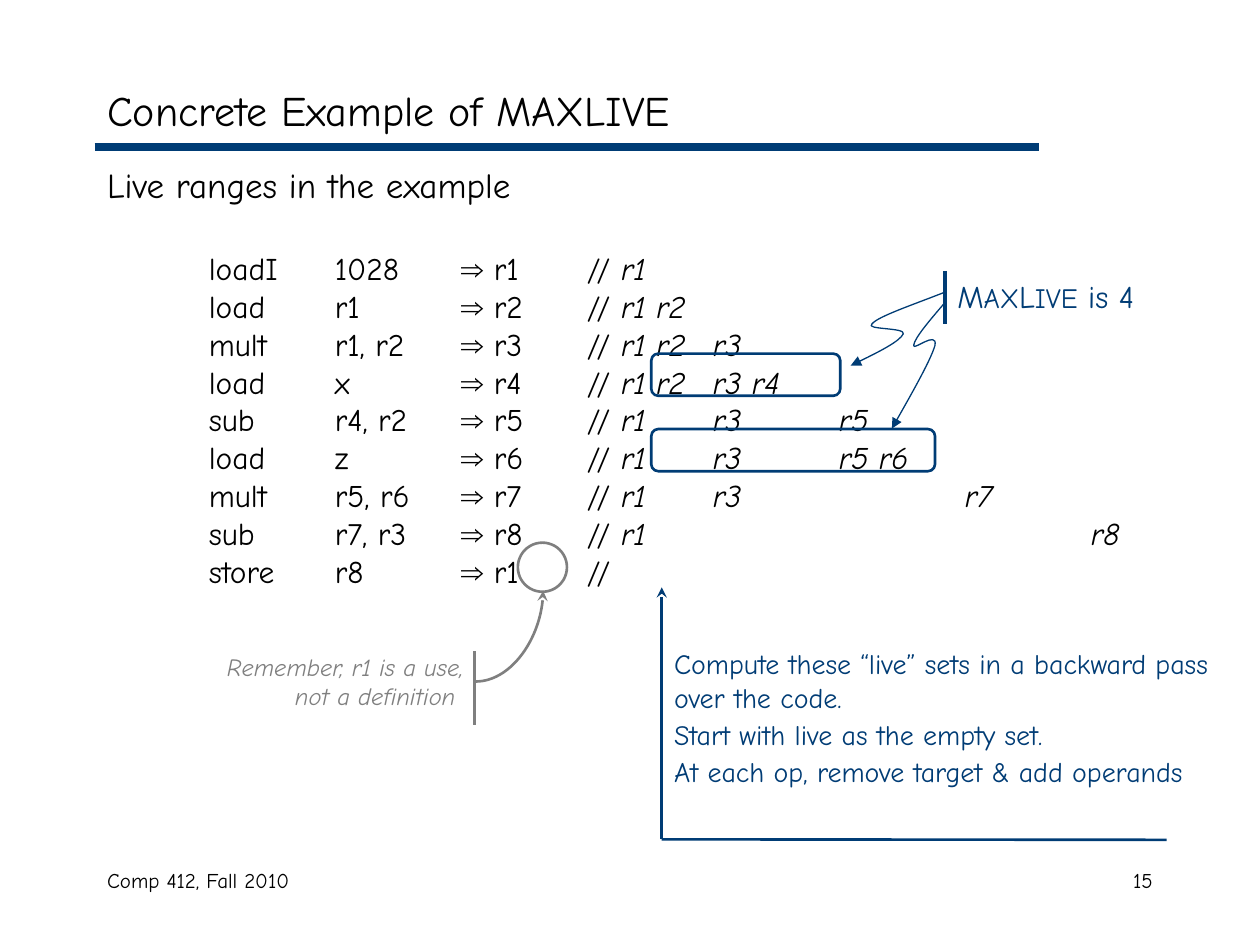
"""Build the slide that shows MAXLIVE on a short code example."""
from lxml import etree
from pptx import Presentation
from pptx import util as u
from pptx.dml.color import RGBColor
from pptx.enum import shapes, text
from pptx.oxml import ns

NAVY = RGBColor(0x00, 0x3C, 0x75)
GREY = RGBColor(0x7F, 0x7F, 0x7F)
BLACK = RGBColor(0x00, 0x00, 0x00)
FONT, SYMBOL_FONT = "Comic Neue", "Arial"
LEFT, RIGHT = text.PP_ALIGN.LEFT, text.PP_ALIGN.RIGHT

CODE = [
    ("loadI", "1028", "r1", "r1"),
    ("load", "r1", "r2", "r1 r2"),
    ("mult", "r1, r2", "r3", "r1 r2\tr3"),
    ("load", "x", "r4", "r1 r2\tr3 r4"),
    ("sub", "r4, r2", "r5", "r1\tr3\tr5"),
    ("load", "z", "r6", "r1\tr3\tr5 r6"),
    ("mult", "r5, r6", "r7", "r1\tr3\t\tr7"),
    ("sub", "r7, r3", "r8", "r1\t\t\t\tr8"),
    ("store", "r8", "r1", ""),
]
CODE_PLACE = (3.96, 4.9, 19.54, 7.2)
TAB_STEP = 2.54
CODE_TABS = [TAB_STEP * column for column in range(1, 5)] + [12.01, 14.12, 15.39]
METHOD = [
    "Compute these “live” sets in a backward pass over the code.",
    "Start with live as the empty set.",
    "At each op, remove target & add operands",
]
MAXLIVE = [("M", 18), ("AX", 16), ("L", 18), ("IVE", 16), (" is 4", 18)]
CAPTIONS = [
    ("Concrete Example of MAXLIVE", (1.91, 1.47, 21.59, 1.47), 24, BLACK, LEFT, False),
    ("Live ranges in the example", (1.91, 3.18, 21.59, 1.2), 20, BLACK, LEFT, False),
    ("Comp 412, Fall 2010", (1.91, 17.36, 8.05, 1.27), 12, BLACK, LEFT, False),
    ("15", (18.21, 17.36, 5.28, 1.27), 12, BLACK, RIGHT, False),
    ("Remember, r1 is a use, not a definition ", (3.81, 13.02, 5.79, 1.45), 14, GREY, RIGHT, True),
]
RULES = [
    ((1.91, 2.97, 20.95, 2.97), NAVY, 4.5, None),
    ((13.34, 16.92, 13.34, 11.84), NAVY, 1.5, "stealth"),
    ((13.34, 16.92, 23.52, 16.93), NAVY, 1.5, None),
    ((19.05, 5.46, 19.05, 6.53), NAVY, 2.25, None),
    ((9.57, 13.13, 9.57, 14.61), GREY, 1.5, None),
]
USE_CURVE = (9.59, 13.74, 10.95, 11.91)
OUTLINES = [
    (shapes.MSO_SHAPE.OVAL, (10.44, 10.94, 0.99, 0.99), GREY),
    (shapes.MSO_SHAPE.ROUNDED_RECTANGLE, (13.13, 7.13, 3.81, 0.85), NAVY),
    (shapes.MSO_SHAPE.ROUNDED_RECTANGLE, (13.13, 8.65, 5.72, 0.85), NAVY),
]
SQUIGGLES = [
    [(19.05, 5.89), (18.39, 6.15), (17.7, 6.38), (17.58, 6.53), (17.42, 6.65),
     (18.26, 6.6), (18.21, 6.73), (18.14, 6.88), (17.63, 7.14), (17.15, 7.37)],
    [(19.05, 6.1), (18.75, 6.45), (18.44, 6.81), (18.42, 6.96), (18.39, 7.09),
     (18.9, 6.65), (18.85, 6.96), (18.77, 7.24), (18.39, 7.92), (17.98, 8.64)],
]


def lengths(values):
    return [u.Cm(value) for value in values]


def add_frame(slide, place):
    frame = slide.shapes.add_textbox(*lengths(place)).text_frame
    frame.word_wrap = True
    return frame


def style(run, size, color, italic=False, font=FONT):
    run.font.name, run.font.size = font, u.Pt(size)
    run.font.color.rgb, run.font.italic = color, italic


def add_run(paragraph, words, *look):
    run = paragraph.add_run()
    run.text = words
    style(run, *look)


def set_line(shape, color, width, arrow=None):
    shape.line.color.rgb, shape.line.width = color, u.Pt(width)
    if arrow:
        etree.SubElement(shape.line._get_or_add_ln(), ns.qn("a:tailEnd"), type=arrow)


def add_rule(slide, ends, color, width, arrow, kind=shapes.MSO_CONNECTOR.STRAIGHT):
    rule = slide.shapes.add_connector(kind, *lengths(ends))
    set_line(rule, color, width, arrow)
    etree.SubElement(rule._element.spPr, ns.qn("a:effectLst"))
    return rule


def add_squiggle(slide, points):
    start, *rest = [lengths(point) for point in points]
    builder = slide.shapes.build_freeform(*start)
    builder.add_line_segments(rest, close=False)
    squiggle = builder.convert_to_shape()
    squiggle.shadow.inherit = False
    squiggle.fill.background()
    set_line(squiggle, NAVY, 0.75, "triangle")
    outline = next(squiggle._element.iter(ns.qn("a:path")))
    segments = outline.findall(ns.qn("a:lnTo"))
    for first in range(0, len(segments), 3):
        curve = etree.SubElement(outline, ns.qn("a:cubicBezTo"))
        for segment in segments[first:first + 3]:
            curve.append(segment[0])
            outline.remove(segment)


def set_tabs(paragraph):
    properties = paragraph._p.get_or_add_pPr()
    properties.set("marL", "0")
    properties.set("indent", "0")
    properties.set("defTabSz", str(u.Cm(TAB_STEP)))
    etree.SubElement(properties, ns.qn("a:buNone"))
    stops = etree.SubElement(properties, ns.qn("a:tabLst"))
    for stop in CODE_TABS:
        etree.SubElement(stops, ns.qn("a:tab"), pos=str(u.Cm(stop)), algn="l")


def add_code(slide):
    frame = add_frame(slide, CODE_PLACE)
    for number, (operation, operands, target, live) in enumerate(CODE):
        line = frame.add_paragraph() if number else frame.paragraphs[0]
        set_tabs(line)
        add_run(line, f"{operation}\t{operands}\t", 18, BLACK)
        add_run(line, "⇒", 18, BLACK, False, SYMBOL_FONT)
        add_run(line, f" {target}\t//" + (" " if live else ""), 18, BLACK)
        if live:
            add_run(line, live, 18, BLACK, True)


def main():
    deck = Presentation()
    deck.slide_width, deck.slide_height = u.Cm(25.4), u.Cm(19.05)
    slide = deck.slides.add_slide(deck.slide_layouts[6])

    for words, place, size, color, align, italic in CAPTIONS:
        caption = add_frame(slide, place)
        caption.text = words
        caption.paragraphs[0].alignment = align
        style(caption.paragraphs[0].runs[0], size, color, italic)
        if size == 24:
            caption.vertical_anchor = text.MSO_ANCHOR.MIDDLE

    add_code(slide)

    method = add_frame(slide, (13.34, 12.91, 11.53, 3.1))
    method.text = "\n".join(METHOD)
    for number, step in enumerate(method.paragraphs):
        step.space_before = u.Pt(2 if number else 0)
        style(step.runs[0], 16, NAVY)

    maxlive = add_frame(slide, (19.05, 5.47, 4.65, 1.02)).paragraphs[0]
    for letters, size in MAXLIVE:
        add_run(maxlive, letters, size, NAVY)

    for rule in RULES:
        add_rule(slide, *rule)
    curve = add_rule(slide, USE_CURVE, GREY, 1.5, "stealth", shapes.MSO_CONNECTOR.CURVE)
    curve._element.spPr.find(ns.qn("a:prstGeom")).set("prst", "curvedConnector2")

    for kind, place, color in OUTLINES:
        outline = slide.shapes.add_shape(kind, *lengths(place))
        outline.shadow.inherit = False
        outline.fill.background()
        set_line(outline, color, 1.5)
    for points in SQUIGGLES:
        add_squiggle(slide, points)

    deck.save("out.pptx")


if __name__ == "__main__":
    main()
